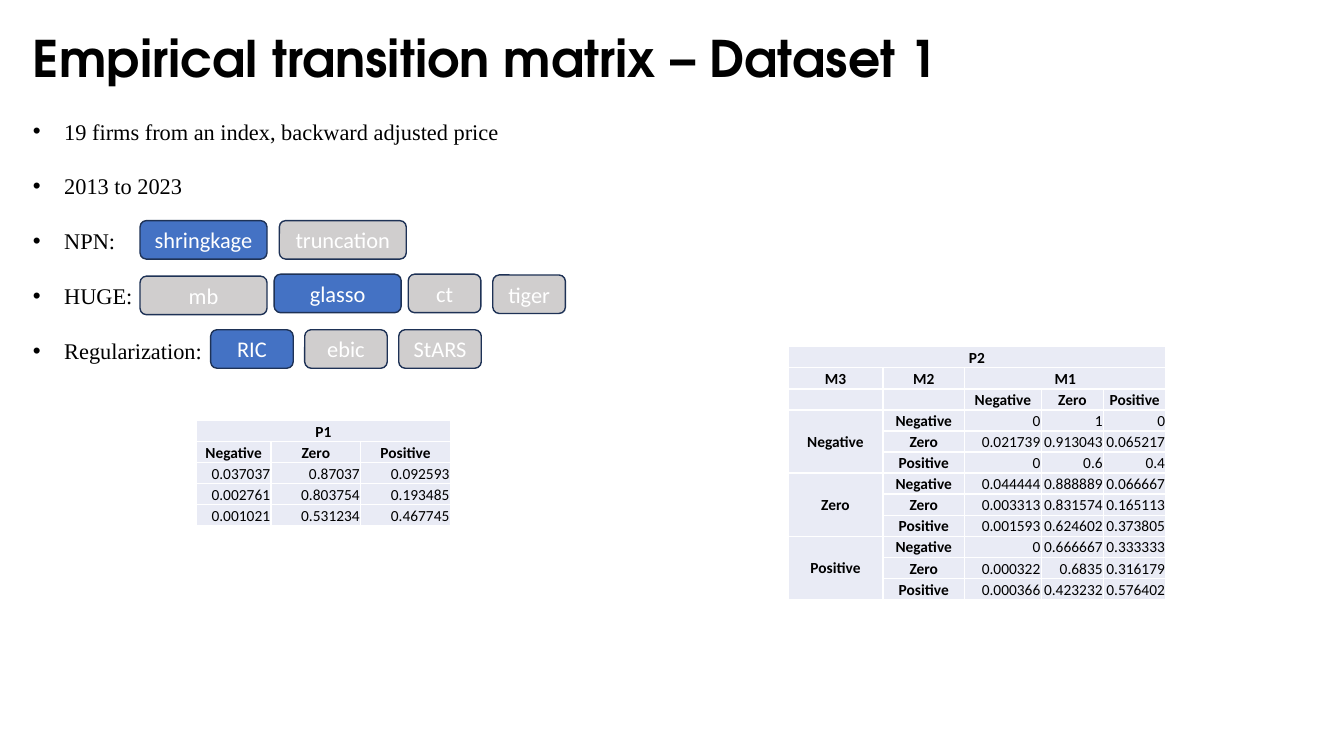
from lxml.etree import SubElement
from pptx import Presentation
from pptx.dml.color import RGBColor
from pptx.enum.shapes import MSO_SHAPE
from pptx.enum.text import MSO_ANCHOR, PP_ALIGN
from pptx.oxml.ns import qn
from pptx.util import Cm, Pt

TITLE = "Empirical transition matrix – Dataset 1"
POINTS = [
    "19 firms from an index, backward adjusted price",
    "2013 to 2023",
    "NPN:",
    "HUGE:",
    "Regularization:",
]
BLUE, GREY, NAVY, PALE = "4472C4", "D0CECE", "1E3256", "E9EBF5"
BLACK, WHITE = "000000", "FFFFFF"

# Label, left, top, width, chosen
CHIPS = [
    ("shringkage", 3.53, 5.56, 3.2, True),
    ("truncation", 7.04, 5.56, 3.2, False),
    ("mb", 3.53, 6.96, 3.2, False),
    ("glasso", 6.91, 6.91, 3.2, True),
    ("ct", 10.29, 6.91, 1.83, False),
    ("tiger", 12.42, 6.93, 1.83, False),
    ("RIC", 5.31, 8.31, 2.08, True),
    ("ebic", 7.68, 8.31, 2.08, False),
    ("StARS", 10.05, 8.31, 2.08, False),
]
CHIP_H = 0.97

STATES = ["Negative", "Zero", "Positive"]
P1 = [
    ["0.037037", "0.87037", "0.092593"],
    ["0.002761", "0.803754", "0.193485"],
    ["0.001021", "0.531234", "0.467745"],
]
P2 = [
    ["0", "1", "0"],
    ["0.021739", "0.913043", "0.065217"],
    ["0", "0.6", "0.4"],
    ["0.044444", "0.888889", "0.066667"],
    ["0.003313", "0.831574", "0.165113"],
    ["0.001593", "0.624602", "0.373805"],
    ["0", "0.666667", "0.333333"],
    ["0.000322", "0.6835", "0.316179"],
    ["0.000366", "0.423232", "0.576402"],
]
ROW_H = 0.53


def color(code):
    return RGBColor.from_string(code)


def style(para, face, size, code, bold=False):
    for run in para.runs:
        font = run.font
        font.name, font.size, font.bold = face, Pt(size), bold
        font.color.rgb = color(code)


def add_box(slide, top, height):
    box = slide.shapes.add_textbox(Cm(0.58), Cm(top), Cm(32.72), Cm(height))
    box.text_frame.word_wrap = True
    return box.text_frame


def add_points(slide):
    frame = add_box(slide, 2.84, 6.4)
    for i, point in enumerate(POINTS):
        para = frame.paragraphs[0] if i == 0 else frame.add_paragraph()
        para.text = point
        if i:
            para.space_before = Pt(20)
        props = para._p.get_or_add_pPr()
        props.set("marL", str(Cm(0.79)))
        props.set("indent", str(-Cm(0.79)))
        SubElement(props, qn("a:buFont"), typeface="Arial")
        SubElement(props, qn("a:buChar"), char="•")
        style(para, "Times New Roman", 16, BLACK)


def add_chip(slide, label, left, top, width, chosen):
    chip = slide.shapes.add_shape(
        MSO_SHAPE.ROUNDED_RECTANGLE, Cm(left), Cm(top), Cm(width), Cm(CHIP_H))
    chip.shadow.inherit = False
    chip.fill.solid()
    chip.fill.fore_color.rgb = color(BLUE if chosen else GREY)
    chip.line.color.rgb = color(NAVY)
    chip.line.width = Pt(1)
    frame = chip.text_frame
    frame.text = label
    frame.vertical_anchor = MSO_ANCHOR.MIDDLE
    para = frame.paragraphs[0]
    para.alignment = PP_ALIGN.CENTER
    style(para, "Calibri", 16, WHITE)


def add_edges(cell):
    """Draw thin white borders; call before the fill is set."""
    props = cell._tc.get_or_add_tcPr()
    for side in ("lnL", "lnR", "lnT", "lnB"):
        edge = SubElement(props, qn("a:" + side), w=str(Pt(1)))
        fill = SubElement(edge, qn("a:solidFill"))
        SubElement(fill, qn("a:srgbClr"), val=WHITE)


def fill_cell(cell, text, middle):
    cell.margin_left = cell.margin_right = cell.margin_top = Cm(0.02)
    cell.margin_bottom = 0
    cell.vertical_anchor = MSO_ANCHOR.MIDDLE if middle else MSO_ANCHOR.BOTTOM
    add_edges(cell)
    cell.fill.solid()
    cell.fill.fore_color.rgb = color(PALE)
    para = cell.text_frame.paragraphs[0]
    if not text:
        SubElement(para._p, qn("a:endParaRPr"), sz="1100")
        return
    number = text[0].isdigit()
    para.text = text
    para.alignment = PP_ALIGN.RIGHT if number else PP_ALIGN.CENTER
    style(para, "Calibri", 11, BLACK, not number)


def add_matrix(slide, left, top, widths, rows, spans, middle):
    """spans: (row, column, last row, last column); middle: centred cells."""
    grid = slide.shapes.add_table(
        len(rows), len(widths), Cm(left), Cm(top),
        Cm(sum(widths)), Cm(ROW_H * len(rows))).table
    grid.first_row = grid.horz_banding = False
    for col, width in zip(grid.columns, widths):
        col.width = Cm(width)
    for r, row in enumerate(rows):
        grid.rows[r].height = Cm(ROW_H)
        for c, text in enumerate(row):
            fill_cell(grid.cell(r, c), text, (r, c) in middle)
    for r, c, last_r, last_c in spans:
        grid.cell(r, c).merge(grid.cell(last_r, last_c))


def main():
    deck = Presentation()
    deck.slide_width, deck.slide_height = Cm(33.87), Cm(19.05)
    slide = deck.slides.add_slide(deck.slide_layouts[6])

    title = add_box(slide, 0.56, 1.8)
    title.text = TITLE
    style(title.paragraphs[0], "TeX Gyre Adventor", 36, BLACK, True)

    rows = [["P1", "", ""], STATES] + P1
    add_matrix(slide, 4.95, 10.59, [1.88, 2.26, 2.26], rows,
               [(0, 0, 0, 2)], [])

    rows = [["P2", "", "", "", ""], ["M3", "M2", "M1", "", ""],
            ["", ""] + STATES]
    for i, values in enumerate(P2):
        outer, inner = divmod(i, 3)
        head = "" if inner else STATES[outer]
        rows.append([head, STATES[inner]] + values)
    starts = [3, 6, 9]
    spans = [(0, 0, 0, 4), (1, 2, 1, 4)] + [(r, 0, r + 2, 0) for r in starts]
    middle = [(1, 0), (1, 1), (1, 2)] + [(r, 0) for r in starts]
    add_matrix(slide, 19.86, 8.74, [2.39, 2.06, 1.93, 1.57, 1.57], rows,
               spans, middle)

    add_points(slide)
    for chip in CHIPS:
        add_chip(slide, *chip)
    deck.save("out.pptx")


if __name__ == "__main__":
    main()
